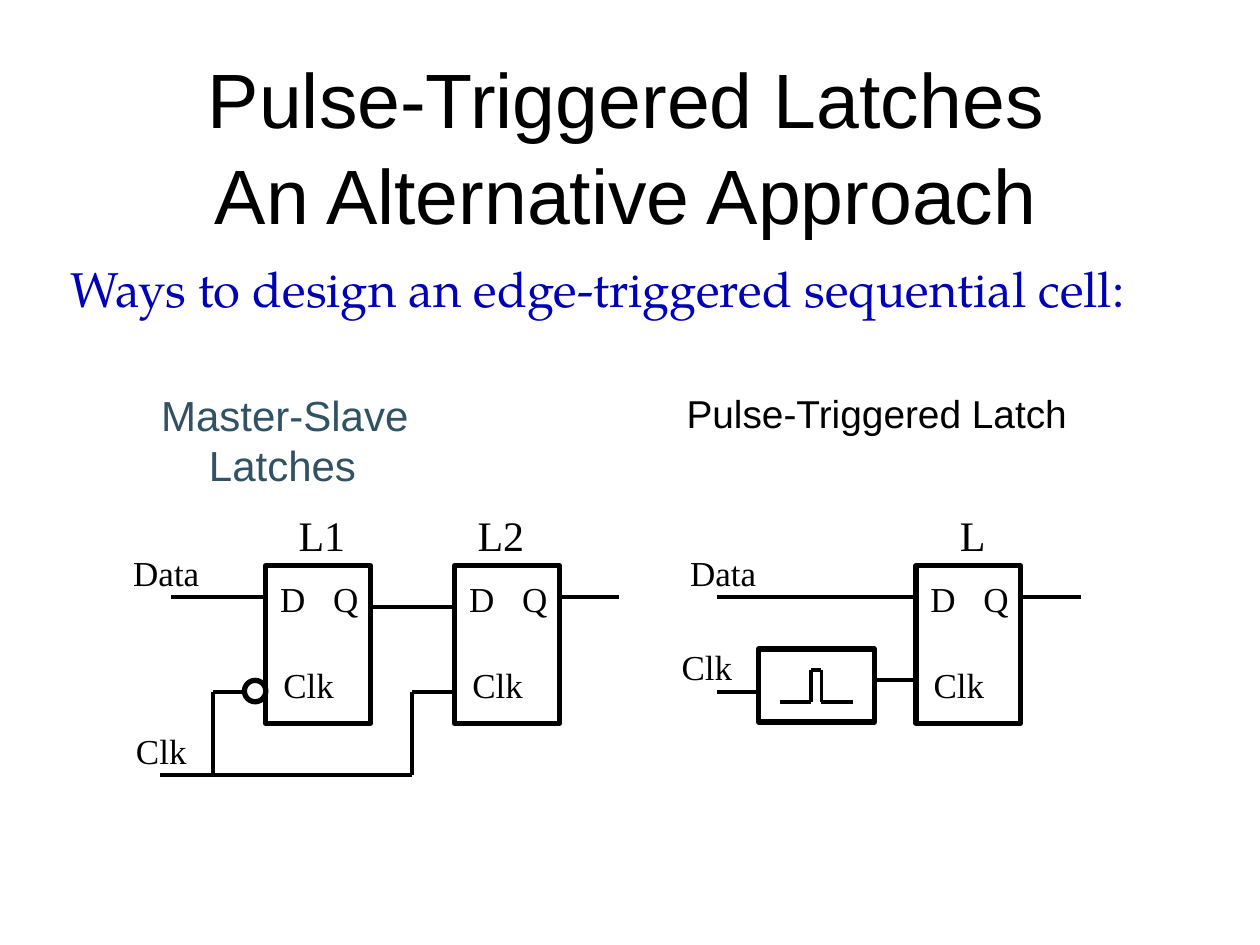
import pptx
import pptx.util
import pptx.dml.color
import pptx.enum.shapes
import pptx.enum.text
import pptx.oxml.ns
import lxml.etree

Inches, Pt = pptx.util.Inches, pptx.util.Pt
SHAPE = pptx.enum.shapes.MSO_SHAPE
ALIGN = pptx.enum.text.PP_ALIGN
ANCHOR = pptx.enum.text.MSO_ANCHOR

COLORS = {"black": "000000", "white": "FFFFFF", "blue": "0000B6", "slate": "315263"}
SERIF = "Times New Roman"

# Heights shared by the two circuits
LATCH_TOP, LATCH_W, LATCH_H = 4.49, 0.83, 1.25
DATA_Y, CLK_Y, BUS_Y = 4.74, 5.49, 6.15


def rgb(name):
    return pptx.dml.color.RGBColor.from_string(COLORS[name])


def format_text(tf, text, size, font, color, align, anchor):
    frame = {"word_wrap": True, "vertical_anchor": anchor,
             "auto_size": pptx.enum.text.MSO_AUTO_SIZE.NONE}
    for name, value in frame.items():
        setattr(tf, name, value)
    tf.text = text
    p = tf.paragraphs[0]
    p.alignment = align
    for r in p.runs:
        for name, value in {"size": Pt(size), "name": font}.items():
            setattr(r.font, name, value)
        r.font.color.rgb = rgb(color)
    return p


def add_title(s, text):
    sp = s.shapes.title
    place = {"left": 0.72, "top": 0.75, "width": 8.5, "height": 0.78}
    for name, value in place.items():
        setattr(sp, name, Inches(value))
    p = format_text(sp.text_frame, text, 44, "Arial", "black",
                    ALIGN.CENTER, ANCHOR.MIDDLE)
    p.line_spacing = 1.04


def add_text(s, text, x, y, w, h, size=20, font=SERIF, color="black",
             align=ALIGN.CENTER, anchor=ANCHOR.MIDDLE):
    sp = s.shapes.add_textbox(Inches(x), Inches(y), Inches(w), Inches(h))
    return sp.text_frame, format_text(sp.text_frame, text, size, font, color, align, anchor)


def add_heading(s, text, x, size, color):
    _, p = add_text(s, text, x, 3.04, 3.25, 0.67, size, "Arial", color,
                    ALIGN.LEFT, ANCHOR.TOP)
    p.space_before = Pt(6)
    pPr = p._p.get_or_add_pPr()
    pPr.set("marL", str(Inches(0.38)))
    pPr.set("indent", str(Inches(-0.38)))


def add_outline(s, kind, x, y, w, h, fill=None):
    sp = s.shapes.add_shape(kind, Inches(x), Inches(y), Inches(w), Inches(h))
    sp.shadow.inherit = False
    if fill:
        sp.fill.solid()
        sp.fill.fore_color.rgb = rgb(fill)
    else:
        sp.fill.background()
    sp.line.color.rgb = rgb("black")
    sp.line.width = Pt(3)


def add_wire(s, *points):
    """Join the points in turn with straight lines."""
    for start, end in zip(points, points[1:]):
        c = s.shapes.add_connector(pptx.enum.shapes.MSO_CONNECTOR.STRAIGHT,
                                   *(Inches(v) for v in start + end))
        c.line.color.rgb = rgb("black")
        c.line.width = Pt(2.25)
        lxml.etree.SubElement(c._element.spPr, pptx.oxml.ns.qn("a:effectLst"))


def add_latch(s, x, name, name_x, name_w):
    add_outline(s, SHAPE.RECTANGLE, x, LATCH_TOP, LATCH_W, LATCH_H)
    add_text(s, "D", x, 4.53, 0.43, 0.44)
    add_text(s, "Q", x + 0.42, 4.53, 0.43, 0.44)
    add_text(s, "Clk", x, 5.21, 0.68, 0.44)
    tf, _ = add_text(s, name, name_x, 3.99, name_w, 0.5, 24)
    tf.word_wrap = False


def add_master_slave(s):
    add_heading(s, "Master-Slave Latches", 1.18, 24, "slate")
    add_latch(s, 2.11, "L1", 2.27, 0.57)
    add_latch(s, 3.61, "L2", 3.69, 0.57)
    # Data path
    add_wire(s, (1.36, DATA_Y), (2.11, DATA_Y))
    add_wire(s, (2.94, 4.82), (3.61, 4.82))
    add_wire(s, (4.44, DATA_Y), (4.91, DATA_Y))
    # Clock bus, its two branches and the inverting bubble
    add_wire(s, (1.27, BUS_Y), (3.27, BUS_Y), (3.27, CLK_Y), (3.61, CLK_Y))
    add_wire(s, (1.69, BUS_Y), (1.69, CLK_Y), (2.08, CLK_Y))
    add_outline(s, SHAPE.OVAL, 1.94, 5.4, 0.17, 0.17, "white")
    add_text(s, "Data", 0.94, 4.32, 0.76, 0.44)
    add_text(s, "Clk", 0.94, 5.74, 0.68, 0.44)


def add_pulse_triggered(s):
    add_heading(s, "Pulse-Triggered Latch", 5.35, 22.2, "black")
    add_latch(s, 7.27, "L", 7.52, 0.4)
    # Data path
    add_wire(s, (5.69, DATA_Y), (7.27, DATA_Y))
    add_wire(s, (8.11, DATA_Y), (8.58, DATA_Y))
    # Pulse generator
    add_outline(s, SHAPE.RECTANGLE, 6.02, 5.15, 0.92, 0.58)
    add_wire(s, (6.19, 5.57), (6.44, 5.57), (6.44, 5.32),
             (6.52, 5.32), (6.52, 5.57), (6.77, 5.57))
    add_wire(s, (5.69, CLK_Y), (6.02, CLK_Y))
    add_wire(s, (6.94, 5.4), (7.27, 5.4))
    add_text(s, "Data", 5.36, 4.32, 0.76, 0.44)
    add_text(s, "Clk", 5.27, 5.07, 0.68, 0.44)


def main():
    prs = pptx.Presentation()
    prs.slide_width, prs.slide_height = Inches(10), Inches(7.5)
    s = prs.slides.add_slide(prs.slide_layouts[5])
    add_title(s, "Pulse-Triggered Latches\vAn Alternative Approach")
    add_text(s, "Ways to design an edge-triggered sequential cell:",
             0.46, 2, 9.22, 0.57, 28, "TeX Gyre Pagella", "blue",
             ALIGN.LEFT, ANCHOR.TOP)
    add_master_slave(s)
    add_pulse_triggered(s)
    prs.save("out.pptx")


if __name__ == "__main__":
    main()
